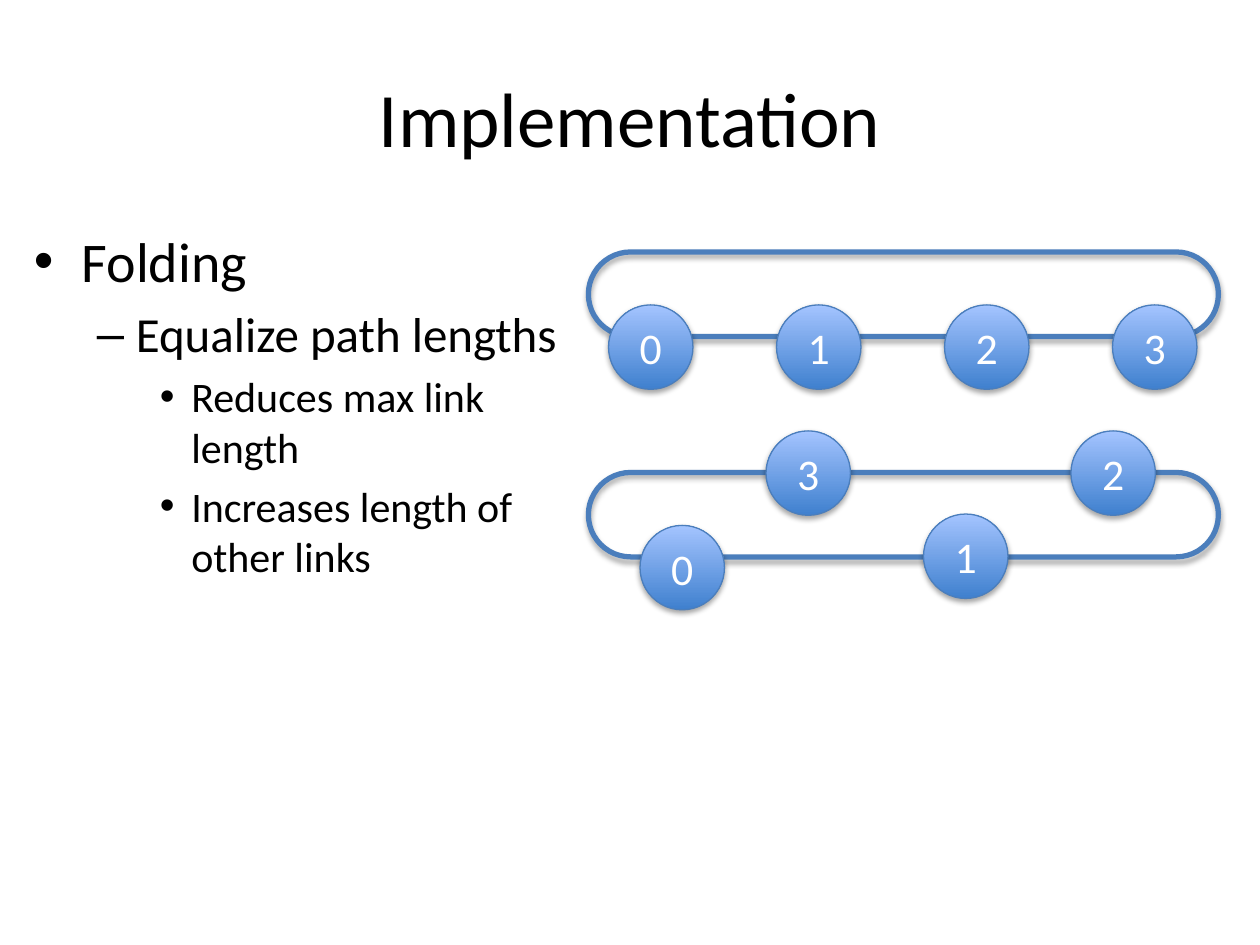
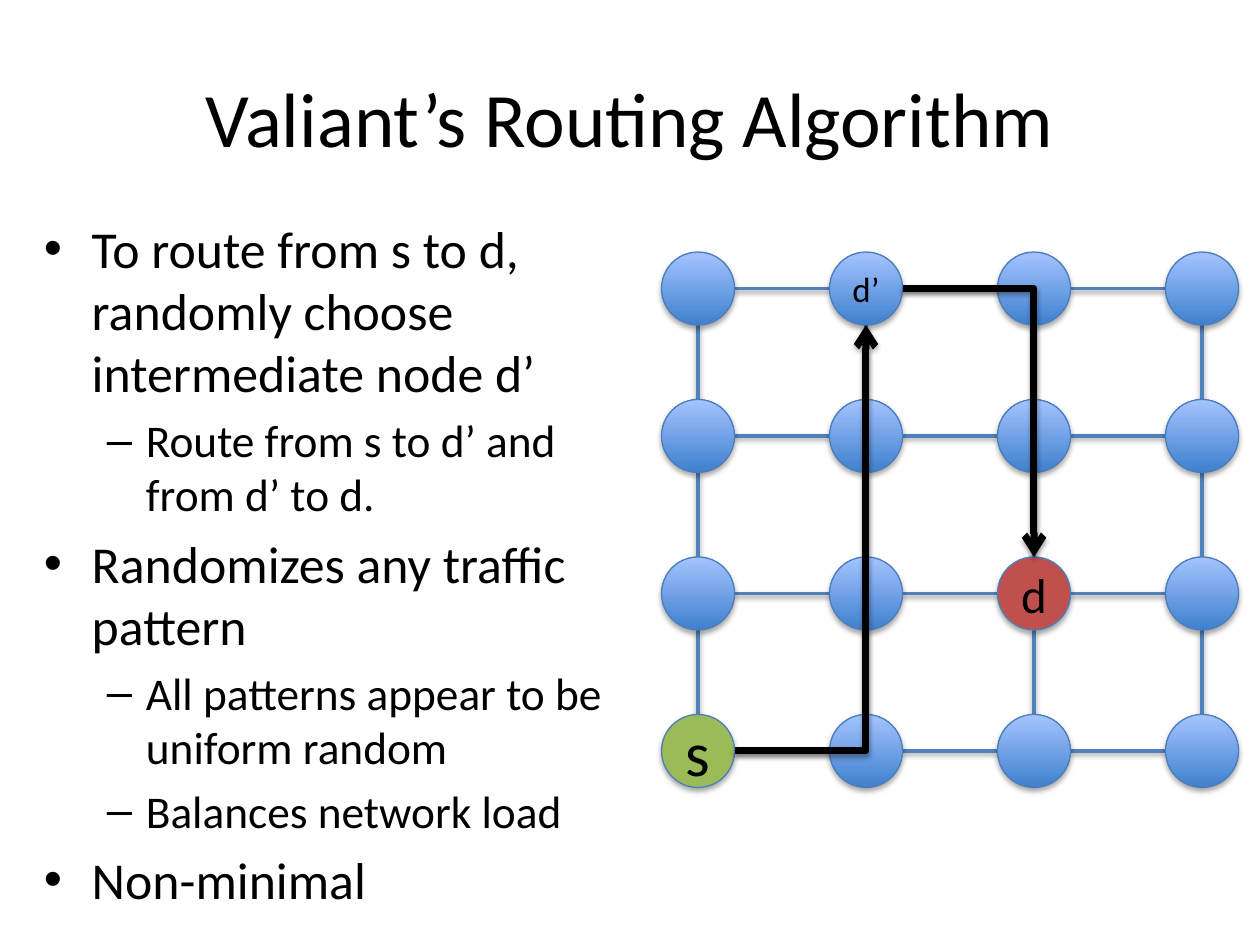
from itertools import product

from lxml.etree import SubElement
from pptx import Presentation
from pptx.dml.color import RGBColor
from pptx.enum.shapes import MSO_CONNECTOR, MSO_SHAPE
from pptx.enum.text import MSO_ANCHOR, PP_ALIGN
from pptx.oxml.ns import qn
from pptx.util import Inches, Pt

FONT = "Calibri"
COLORS = {
    "text": "000000",
    "label": "FFFFFF",
    "outline": "4B7EBC",
    "link": "4F81BD",
    "node_bottom": "3F80CE",
    "node_top": "A4C4FF",
    "source": "9BBB59",
    "destination": "C0504D",
    "route": "000000",
}
# Left indent, hanging indent and bullet of each outline level
LEVELS = [(0.38, 0.38, "•"), (0.81, 0.31, "–"), (1.25, 0.25, "•")]

RING_SIZE = (5, 0.67)
RING_NODE = 0.67
MESH_NODE = 0.58
MESH_COLUMNS = [5.25 + 4 / 3 * column for column in range(4)]
MESH_ROWS = [2, 3.17, 4.42, 5.67]


def color(name):
    return RGBColor.from_string(COLORS[name])


def add_shadow(shape, opacity, distance):
    """Give the shape a soft shadow that falls straight down."""
    effects = SubElement(shape._element.spPr, qn("a:effectLst"))
    shadow = SubElement(effects, qn("a:outerShdw"), blurRad=str(Pt(3.1)), dist=str(Pt(distance)),
                        dir="5400000", rotWithShape="0")
    tint = SubElement(shadow, qn("a:srgbClr"), val="000000")
    SubElement(tint, qn("a:alpha"), val=str(opacity * 1000))


def format_text(paragraph, size, color_name="text"):
    for span in paragraph.runs:
        span.font.name = FONT
        span.font.size = Pt(size)
        span.font.color.rgb = color(color_name)


def add_title(page, title):
    box = page.shapes.add_textbox(Inches(0.5), Inches(0.3), Inches(9), Inches(1.25))
    frame = box.text_frame
    frame.word_wrap = True
    frame.vertical_anchor = MSO_ANCHOR.MIDDLE
    frame.text = title
    frame.paragraphs[0].alignment = PP_ALIGN.CENTER
    format_text(frame.paragraphs[0], 44)


def add_outline(page, left, top, width, height, sizes, items):
    """Write (level, text) items as a bulleted list, with one font size per level."""
    box = page.shapes.add_textbox(Inches(left), Inches(top), Inches(width), Inches(height))
    frame = box.text_frame
    frame.word_wrap = True
    for index, (level, text) in enumerate(items):
        paragraph = frame.add_paragraph() if index else frame.paragraphs[0]
        paragraph.text = text
        paragraph.level = level
        format_text(paragraph, sizes[level])
        indent, hanging, bullet = LEVELS[level]
        properties = paragraph._p.get_or_add_pPr()
        properties.set("marL", str(Inches(indent)))
        properties.set("indent", str(-Inches(hanging)))
        spacing = SubElement(properties, qn("a:spcBef"))
        SubElement(spacing, qn("a:spcPct"), val="20000")
        SubElement(properties, qn("a:buFont"), typeface="Arial")
        SubElement(properties, qn("a:buChar"), char=bullet)


def add_ring(page, left, top):
    width, height = RING_SIZE
    ring = page.shapes.add_shape(MSO_SHAPE.ROUNDED_RECTANGLE, Inches(left), Inches(top),
                                 Inches(width), Inches(height))
    ring.adjustments[0] = 0.5
    ring.fill.background()
    ring.line.color.rgb = color("outline")
    ring.line.width = Pt(3)
    add_shadow(ring, 35, 1.8)


def add_node(page, left, top, diameter, label="", size=25, label_color="text", fill=None):
    """Draw a round node, with the blue gradient unless a fill is named."""
    node = page.shapes.add_shape(MSO_SHAPE.OVAL, Inches(left), Inches(top),
                                 Inches(diameter), Inches(diameter))
    if fill:
        node.fill.solid()
        node.fill.fore_color.rgb = color(fill)
    else:
        node.fill.gradient()
        node.fill.gradient_angle = 90
        for stop, name in zip(node.fill.gradient_stops, ("node_bottom", "node_top")):
            stop.color.rgb = color(name)
    node.line.color.rgb = color("outline")
    node.line.width = Pt(0.75)
    add_shadow(node, 35, 1.8)
    if label:
        frame = node.text_frame
        frame.word_wrap = False
        frame.vertical_anchor = MSO_ANCHOR.MIDDLE
        frame.text = label
        frame.paragraphs[0].alignment = PP_ALIGN.CENTER
        format_text(frame.paragraphs[0], size, label_color)


def add_line(page, start, end, color_name, width, kind=MSO_CONNECTOR.STRAIGHT):
    line = page.shapes.add_connector(kind, *(Inches(value) for value in start + end))
    line.line.color.rgb = color(color_name)
    line.line.width = Pt(width)
    add_shadow(line, 38, 1.6)
    return line


def add_route(page, start, end):
    """Draw an arrow that runs across first, then turns once towards its end."""
    route = add_line(page, start, end, "route", 4, MSO_CONNECTOR.ELBOW)
    properties = route._element.spPr
    properties.find(qn("a:prstGeom")).set("prst", "bentConnector2")
    SubElement(properties.find(qn("a:ln")), qn("a:tailEnd"), type="arrow")


def add_mesh(page, special_nodes):
    radius = MESH_NODE / 2
    for top, (left, right) in product(MESH_ROWS, zip(MESH_COLUMNS, MESH_COLUMNS[1:])):
        add_line(page, (left + MESH_NODE, top + radius), (right, top + radius), "link", 2)
    for left, (top, below) in product(MESH_COLUMNS, zip(MESH_ROWS, MESH_ROWS[1:])):
        add_line(page, (left + radius, top + MESH_NODE), (left + radius, below), "link", 2)
    for (row, top), (column, left) in product(enumerate(MESH_ROWS), enumerate(MESH_COLUMNS)):
        add_node(page, left, top, MESH_NODE, **special_nodes.get((row, column), {}))


def right_of(row, column):
    return MESH_COLUMNS[column] + MESH_NODE, MESH_ROWS[row] + MESH_NODE / 2


def top_of(row, column):
    return MESH_COLUMNS[column] + MESH_NODE / 2, MESH_ROWS[row]


def bottom_of(row, column):
    left, top = top_of(row, column)
    return left, top + MESH_NODE


def build_folding(page):
    add_title(page, "Implementation")
    add_outline(page, 0.17, 1.75, 4.5, 5.33, (32, 28, 24), [
        (0, "Folding"),
        (1, "Equalize path lengths"),
        (2, "Reduces max link length"),
        (2, "Increases length of other links"),
    ])
    plain_nodes = [(4.83 + 4 / 3 * index, 2.42) for index in range(4)]
    folded_nodes = [(5.08, 4.17), (7.33, 4.08), (8.5, 3.42), (6.08, 3.42)]
    for ring_top, nodes in ((2, plain_nodes), (3.75, folded_nodes)):
        add_ring(page, 4.67, ring_top)
        for number, (left, top) in enumerate(nodes):
            add_node(page, left, top, RING_NODE, str(number), label_color="label")


def build_routing(page):
    add_title(page, "Valiant’s Routing Algorithm")
    add_outline(page, 0.25, 1.67, 4.67, 5.58, (29.6, 25.9), [
        (0, "To route from s to d, randomly choose intermediate node d’"),
        (1, "Route from s to d’ and from d’ to d."),
        (0, "Randomizes any traffic pattern"),
        (1, "All patterns appear to be uniform random"),
        (1, "Balances network load"),
        (0, "Non-minimal"),
    ])
    source, intermediate, destination = (3, 0), (0, 1), (2, 2)
    add_mesh(page, {
        source: {"label": "s", "size": 36, "fill": "source"},
        intermediate: {"label": "d’", "size": 20},
        destination: {"label": "d", "size": 28, "fill": "destination"},
    })
    add_route(page, right_of(*source), bottom_of(*intermediate))
    add_route(page, right_of(*intermediate), top_of(*destination))


def main():
    deck = Presentation()
    deck.slide_width = Inches(10)
    deck.slide_height = Inches(7.5)
    blank = deck.slide_layouts[6]
    for build in (build_folding, build_routing):
        build(deck.slides.add_slide(blank))
    deck.save("out.pptx")


if __name__ == "__main__":
    main()
